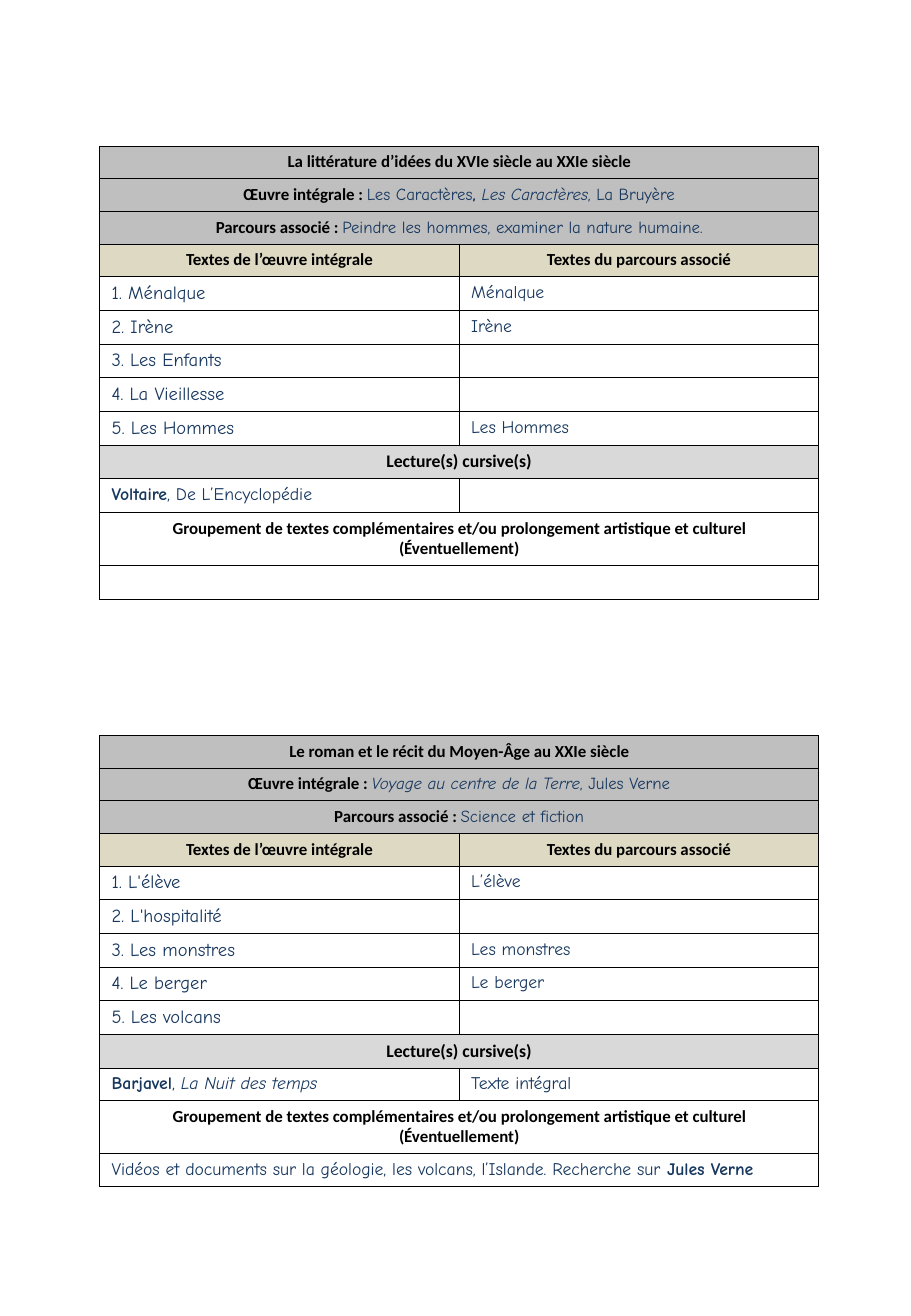
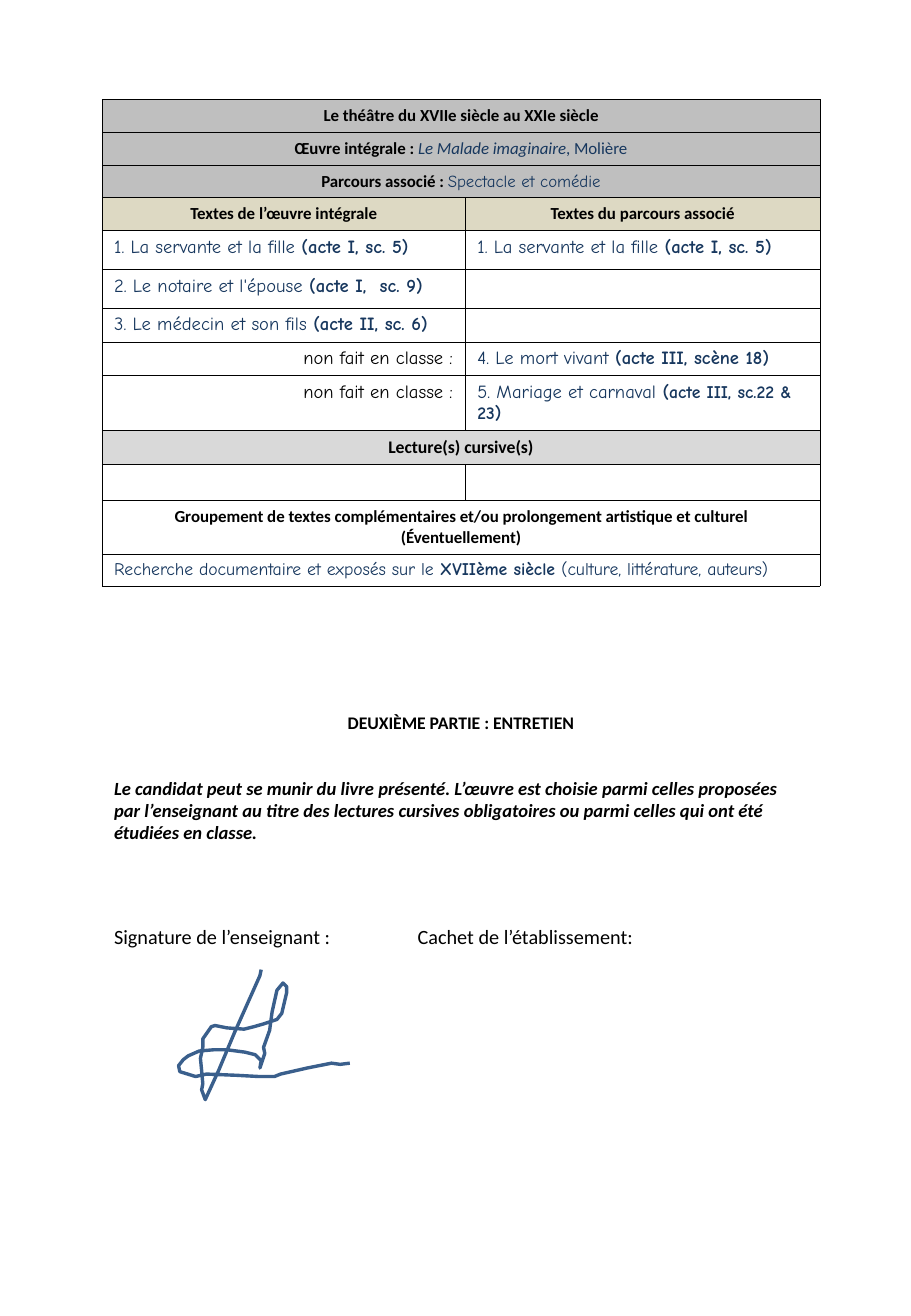
from dataclasses import dataclass, replace

import pptx
import pptx.dml.color
import pptx.enum.text
import pptx.oxml.ns
import pptx.util
from lxml import etree

ALIGN = pptx.enum.text.PP_ALIGN
qn = pptx.oxml.ns.qn


class Theme:
    width, height = 7.5, 10.83
    print_font, hand_font = "Calibri", "Comic Neue"
    black, ink, stroke = "000000", "17375E", "3A5F8C"
    white, dark, sand, light = "FFFFFF", "BFBFBF", "DDD9C3", "D9D9D9"
    small, medium, large, sign = 10, 10.5, 11, 12
    border, pen = 0.25, 2
    row = 0.21


@dataclass(frozen=True)
class Box:
    """Percentages of the slide's width and height."""
    left: float
    top: float
    width: float
    height: float

    def emu(self):
        w, h = Theme.width / 100, Theme.height / 100
        return [pptx.util.Inches(v) for v in
                (self.left * w, self.top * h, self.width * w, self.height * h)]


@dataclass(frozen=True)
class Run:
    text: str
    size: float = Theme.small
    font: str = Theme.print_font
    color: str = Theme.black
    bold: bool = False
    italic: bool = False


@dataclass(frozen=True)
class Cell:
    runs: tuple = ()
    fill: str = Theme.white
    align: ALIGN = ALIGN.LEFT


def rgb(value):
    return pptx.dml.color.RGBColor.from_string(value)


def label(text, size=Theme.small):
    return Run(text, size, bold=True)


def hand(text, size=Theme.medium, **style):
    return Run(text, size, Theme.hand_font, Theme.ink, **style)


def head(*runs, fill=Theme.dark):
    return Cell(runs, fill, ALIGN.CENTER)


def note(text, size=Theme.medium):
    return Cell((hand(text, size),)) if text else Cell()


def scene(title, ref):
    return Cell((hand(title, Theme.large), hand(ref, Theme.large, bold=True)))


def add_runs(p, runs):
    for run in runs:
        r = p.add_run()
        r.text = run.text
        f = r.font
        f.name, f.size = run.font, pptx.util.Pt(run.size)
        f.bold, f.italic = run.bold, run.italic
        f.color.rgb = rgb(run.color)


def add_borders(cell):
    props = cell._tc.get_or_add_tcPr()
    for i, side in enumerate(("lnL", "lnR", "lnT", "lnB")):
        ln = etree.Element(qn("a:" + side), w=str(pptx.util.Pt(Theme.border)))
        fill = etree.SubElement(ln, qn("a:solidFill"))
        etree.SubElement(fill, qn("a:srgbClr"), val=Theme.black)
        props.insert(i, ln)


def fill_cell(cell, content):
    cell.fill.solid()
    cell.fill.fore_color.rgb = rgb(content.fill)
    add_borders(cell)
    p = cell.text_frame.paragraphs[0]
    p.alignment = content.align
    add_runs(p, content.runs)
    if not content.runs:
        etree.SubElement(p._p, qn("a:endParaRPr"), sz=str(int(Theme.medium * 100)))


def add_program(slide, box, genre, work, path_runs, texts, cursive, extra,
                first_col=0.5, heights=None):
    """Reading list: one-cell rows span both columns."""
    rows = [
        [head(label(genre))],
        [head(label("Œuvre intégrale : "), *work)],
        [head(label("Parcours associé : "), *path_runs)],
        [head(label("Textes de l’œuvre intégrale"), fill=Theme.sand),
         head(label("Textes du parcours associé"), fill=Theme.sand)],
        *texts,
        [head(label("Lecture(s) cursive(s)", Theme.medium), fill=Theme.light)],
        cursive,
        [head(label("Groupement de textes complémentaires et/ou prolongement "
                    "artistique et culturel (Éventuellement)"), fill=Theme.white)],
        [Cell(extra)],
    ]
    left, top, width, height = box.emu()
    tbl = slide.shapes.add_table(len(rows), 2, left, top, width, height).table
    tbl.first_row = tbl.horz_banding = False
    tbl.columns[0].width = int(width * first_col)
    tbl.columns[1].width = width - tbl.columns[0].width
    for i, row in enumerate(rows):
        tbl.rows[i].height = pptx.util.Inches((heights or {}).get(i, Theme.row))
        if len(row) == 1:
            tbl.cell(i, 0).merge(tbl.cell(i, 1))
            row = [row[0], Cell(fill=row[0].fill)]
        for j, content in enumerate(row):
            fill_cell(tbl.cell(i, j), content)


def add_interview(slide, box):
    """Heading, instructions and signature line."""
    tf = slide.shapes.add_textbox(*box.emu()).text_frame
    tf.word_wrap = True
    tf.auto_size = pptx.enum.text.MSO_AUTO_SIZE.SHAPE_TO_FIT_TEXT
    rule = label("Le candidat peut se munir du livre présenté. L’œuvre est choisie "
                 "parmi celles proposées par l’enseignant au titre des lectures "
                 "cursives obligatoires ou parmi celles qui ont été étudiées "
                 "en classe. ", Theme.large)
    paragraphs = [
        (label("DEUXIÈME PARTIE : ENTRETIEN", Theme.medium), ALIGN.CENTER, 0),
        (replace(rule, italic=True), ALIGN.LEFT, 25.6),
        (Run("Signature de l’enseignant :\t\tCachet de l’établissement:",
             Theme.sign), ALIGN.LEFT, 48.2),
    ]
    for i, (run, align, gap) in enumerate(paragraphs):
        p = tf.add_paragraph() if i else tf.paragraphs[0]
        p.alignment, p.space_before = align, pptx.util.Pt(gap)
        add_runs(p, [run])


# Pen positions on a grid 142 columns wide and 109 rows high
PEN_GRID = 142, 109
PEN_POINTS = [
    (69, 0), (68, 5), (47, 52), (34, 83), (23, 107), (20, 99), (21, 94), (20, 83),
    (19, 73), (21, 64), (21, 57), (28, 47), (31, 46), (41, 48), (55, 49), (63, 47),
    (70, 45), (82, 41), (86, 36), (90, 19), (90, 14), (87, 11), (82, 17), (78, 35),
    (76, 50), (71, 64), (72, 69), (68, 81), (69, 75), (64, 70), (56, 68), (41, 66),
    (30, 66), (18, 67), (9, 71), (5, 74), (1, 79), (2, 84), (15, 88), (24, 86),
    (49, 87), (67, 88), (80, 88), (85, 86), (107, 81), (127, 77), (134, 78),
    (142, 77),
]


def add_signature(slide, box):
    left, top, width, height = box.emu()
    scale = width / PEN_GRID[0], height / PEN_GRID[1]
    pen = slide.shapes.build_freeform(*PEN_POINTS[0], scale=scale)
    pen.add_line_segments(PEN_POINTS[1:], close=False)
    sp = pen.convert_to_shape(left, top)
    sp.shadow.inherit = False
    sp.fill.background()
    sp.line.color.rgb = rgb(Theme.stroke)
    sp.line.width = pptx.util.Pt(Theme.pen)


def numbered(titles, matches):
    """Numbered works on the left, matching texts on the right."""
    return [[note(f"{n}. {title}", Theme.large), note(match)]
            for n, (title, match) in enumerate(zip(titles, matches), 1)]


def build_ideas_and_novel(slide):
    ideas = Box(10.93, 11.08, 78.93, 34.53)
    add_program(
        slide, ideas,
        "La littérature d’idées du XVIe siècle au XXIe siècle",
        [hand("Les Caractères", Theme.small), hand(", ", Theme.small, bold=True),
         hand("Les Caractères", Theme.small, italic=True),
         hand(", La Bruyère", Theme.small)],
        [hand("Peindre les hommes, examiner la nature humaine.", Theme.small)],
        numbered(["Ménalque", "Irène", "Les Enfants", "La Vieillesse", "Les Hommes"],
                 ["Ménalque", "Irène", "", "", "Les Hommes"]),
        [Cell((hand("Voltaire", bold=True), hand(", De L’Encyclopédie"))), Cell()],
        (), heights={12: 0.28})
    add_program(
        slide, replace(ideas, top=55.86),
        "Le roman et le récit du Moyen-Âge au XXIe siècle",
        [hand("Voyage au centre de la Terre", Theme.small, italic=True),
         hand(", Jules Verne", Theme.small)],
        [hand("Science et fiction", Theme.small)],
        numbered(["L'élève", "L'hospitalité", "Les monstres", "Le berger",
                  "Les volcans"],
                 ["L’élève", "", "Les monstres", "Le berger", ""]),
        [Cell((hand("Barjavel", bold=True), hand(", "),
               hand("La Nuit des temps", italic=True))), note("Texte intégral")],
        (hand("Vidéos et documents sur la géologie, les volcans, l’Islande. "
              "Recherche sur "), hand("Jules Verne ", bold=True)))


def build_theatre_and_interview(slide):
    servant = scene("1. La servante et la fille ", "(acte I, sc. 5)")
    skipped = Cell((Run("non fait en classe :", Theme.large, Theme.hand_font),),
                   align=ALIGN.RIGHT)
    wedding = Cell((hand("5. Mariage et carnaval ", Theme.large),
                    hand("(", Theme.large, bold=True),
                    hand("acte III, sc.22 & 23", bold=True),
                    hand(")", Theme.large, bold=True)))
    title = Run("Le Malade imaginaire", color=Theme.ink, italic=True)
    add_program(
        slide, Box(11.2, 7.57, 78.8, 35.18),
        "Le théâtre du XVIIe siècle au XXIe siècle",
        [title, replace(title, text=", Molière", italic=False)],
        [hand("Spectacle et comédie", Theme.small)],
        [[servant, servant],
         [scene("2. Le notaire et l'épouse ", "(acte I,  sc. 9)"), Cell()],
         [scene("3. Le médecin et son fils ", "(acte II, sc. 6)"), Cell()],
         [skipped, scene("4. Le mort vivant ", "(acte III, scène 18) ")],
         [skipped, wedding]],
        [Cell(), Cell()],
        (hand("Recherche documentaire et exposés sur le "),
         hand("XVIIème siècle ", bold=True),
         hand("(culture, littérature, auteurs)")),
        first_col=0.506,
        heights={4: 0.32, 5: 0.32, 6: 0.26, 8: 0.26, 10: 0.3})
    add_interview(slide, Box(11.2, 53.65, 78.8, 18.93))
    add_signature(slide, Box(19.47, 73.68, 18.93, 10.06))


prs = pptx.Presentation()
prs.slide_width = pptx.util.Inches(Theme.width)
prs.slide_height = pptx.util.Inches(Theme.height)
for build in (build_ideas_and_novel, build_theatre_and_interview):
    build(prs.slides.add_slide(prs.slide_layouts[6]))
prs.save("out.pptx")
